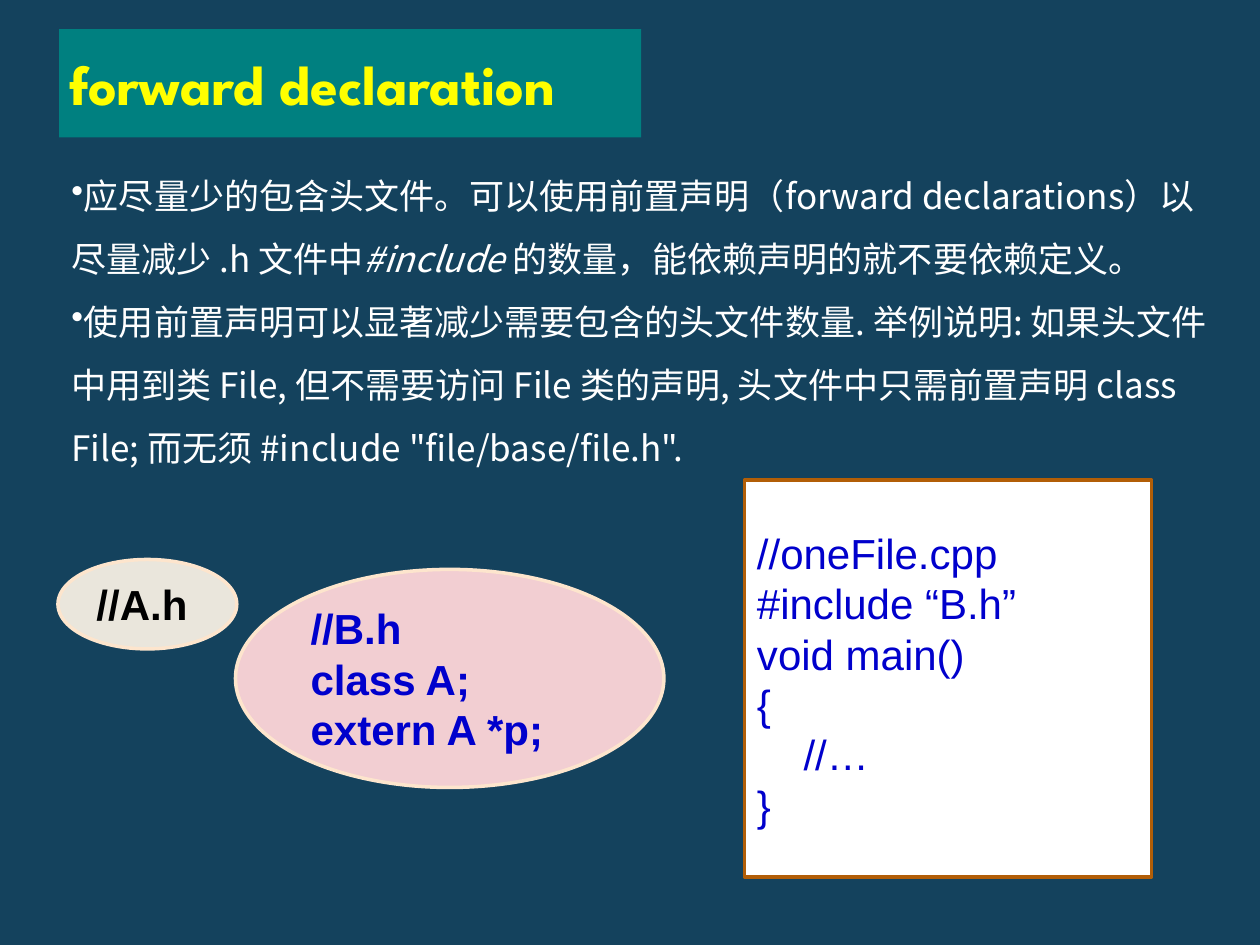
"""Build the forward declaration slide with its notes and header-file diagram."""
from dataclasses import dataclass

from lxml import etree
from pptx import Presentation
from pptx.dml.color import RGBColor
from pptx.enum.shapes import MSO_SHAPE
from pptx.enum.text import MSO_ANCHOR, MSO_AUTO_SIZE, PP_ALIGN
from pptx.oxml.ns import qn
from pptx.util import Pt

RECT, OVAL = MSO_SHAPE.RECTANGLE, MSO_SHAPE.OVAL
MIDDLE, LEFT = MSO_ANCHOR.MIDDLE, PP_ALIGN.LEFT
NO_FIT, GROW = MSO_AUTO_SIZE.NONE, MSO_AUTO_SIZE.SHAPE_TO_FIT_TEXT

NAVY = RGBColor(0x14, 0x42, 0x5D)
TEAL = RGBColor(0x00, 0x80, 0x80)
YELLOW = RGBColor(0xFF, 0xFF, 0x00)
WHITE = RGBColor(0xFF, 0xFF, 0xFF)
BLACK = RGBColor(0x00, 0x00, 0x00)
BLUE = RGBColor(0x00, 0x00, 0xCC)
BEIGE = RGBColor(0xEA, 0xE6, 0xDC)
PINK = RGBColor(0xF2, 0xCE, 0xD2)
CREAM = RGBColor(0xFD, 0xE5, 0xCD)
BROWN = RGBColor(0xB2, 0x5E, 0x07)

TITLE_FONT, BODY_FONT, CODE_FONT = "League Spartan", "Noto Sans CJK SC", "Arial"


@dataclass(frozen=True)
class CodeBox:
    kind: MSO_SHAPE
    left: float
    top: float
    width: float
    height: float
    fill: RGBColor
    line: RGBColor
    color: RGBColor
    bold: bool
    code: tuple[str, ...]


CODE_BOXES = (
    CodeBox(OVAL, 33.1, 319.7, 102.2, 51.1, BEIGE, CREAM, BLACK, True, ("//A.h",)),
    CodeBox(RECT, 425.5, 274.3, 232.6, 226.8, WHITE, BROWN, BLUE, False,
            ("//oneFile.cpp", "#include “B.h”", "void main()", "{", "    //…", "}")),
    CodeBox(OVAL, 134.6, 325.4, 244.8, 124.6, PINK, CREAM, BLUE, True,
            ("//B.h", "class A;", "extern A *p;")),
)

NOTES = (
    (("应尽量少的包含头文件。可以使用前置声明（forward declarations）以尽量减少 .h 文件中", False),
     ("#include ", True),
     ("的数量，能依赖声明的就不要依赖定义。", False)),
    (("使用前置声明可以显著减少需要包含的头文件数量. 举例说明: 如果头文件中用到类 File, "
      "但不需要访问 File 类的声明, 头文件中只需前置声明 class File; "
      "而无须 #include \"file/base/file.h\".", False),),
)


def add_run(p, text: str, font: str, size: float, color: RGBColor,
            bold: bool = False, italic: bool = False) -> None:
    r = p.add_run()
    r.text = text
    r.font.name, r.font.size = font, Pt(size)
    r.font.bold, r.font.italic = bold, italic
    r.font.color.rgb = color
    etree.SubElement(r.font._element, qn("a:ea"), typeface=font)


def set_insets(tf, side: float, end: float) -> None:
    tf.margin_left = tf.margin_right = Pt(side)
    tf.margin_top = tf.margin_bottom = Pt(end)
    tf.word_wrap = True


def add_title(s) -> None:
    sp = s.shapes.title
    sp.left, sp.top, sp.width, sp.height = Pt(33.8), Pt(16.6), Pt(332.6), Pt(61.9)
    sp.fill.solid()
    sp.fill.fore_color.rgb = TEAL
    tf = sp.text_frame
    set_insets(tf, 5.76, 2.88)
    tf.auto_size, tf.vertical_anchor = NO_FIT, MIDDLE
    p = tf.paragraphs[0]
    p.alignment = LEFT
    add_run(p, "forward declaration", TITLE_FONT, 32, YELLOW, bold=True)


def add_notes_text(s) -> None:
    sp = s.shapes.add_textbox(Pt(33.8), Pt(84.2), Pt(666.7), Pt(189.4))
    tf = sp.text_frame
    set_insets(tf, 7.2, 3.6)
    tf.auto_size = GROW
    for i, runs in enumerate(NOTES):
        p = tf.add_paragraph() if i else tf.paragraphs[0]
        p.line_spacing = 1.5
        pPr = p._p.get_or_add_pPr()
        pPr.set("marL", "0")
        pPr.set("indent", "0")
        etree.SubElement(pPr, qn("a:buChar"), char="•")
        for text, italic in runs:
            add_run(p, text, BODY_FONT, 20, WHITE, italic=italic)


def add_code_box(s, box: CodeBox) -> None:
    sp = s.shapes.add_shape(box.kind, Pt(box.left), Pt(box.top),
                            Pt(box.width), Pt(box.height))
    sp.shadow.inherit = False
    sp.fill.solid()
    sp.fill.fore_color.rgb = box.fill
    sp.line.color.rgb = box.line
    sp.line.width = Pt(2)
    tf = sp.text_frame
    set_insets(tf, 7.2, 3.6)
    tf.vertical_anchor = MIDDLE
    for i, text in enumerate(box.code):
        p = tf.add_paragraph() if i else tf.paragraphs[0]
        p.alignment = LEFT
        add_run(p, text, CODE_FONT, 24, box.color, bold=box.bold)


def main() -> None:
    prs = Presentation()
    prs.slide_width, prs.slide_height = Pt(720), Pt(540)
    s = prs.slides.add_slide(prs.slide_layouts[5])
    s.background.fill.solid()
    s.background.fill.fore_color.rgb = NAVY
    add_title(s)
    add_notes_text(s)
    for box in CODE_BOXES:
        add_code_box(s, box)
    prs.save("out.pptx")


if __name__ == "__main__":
    main()
